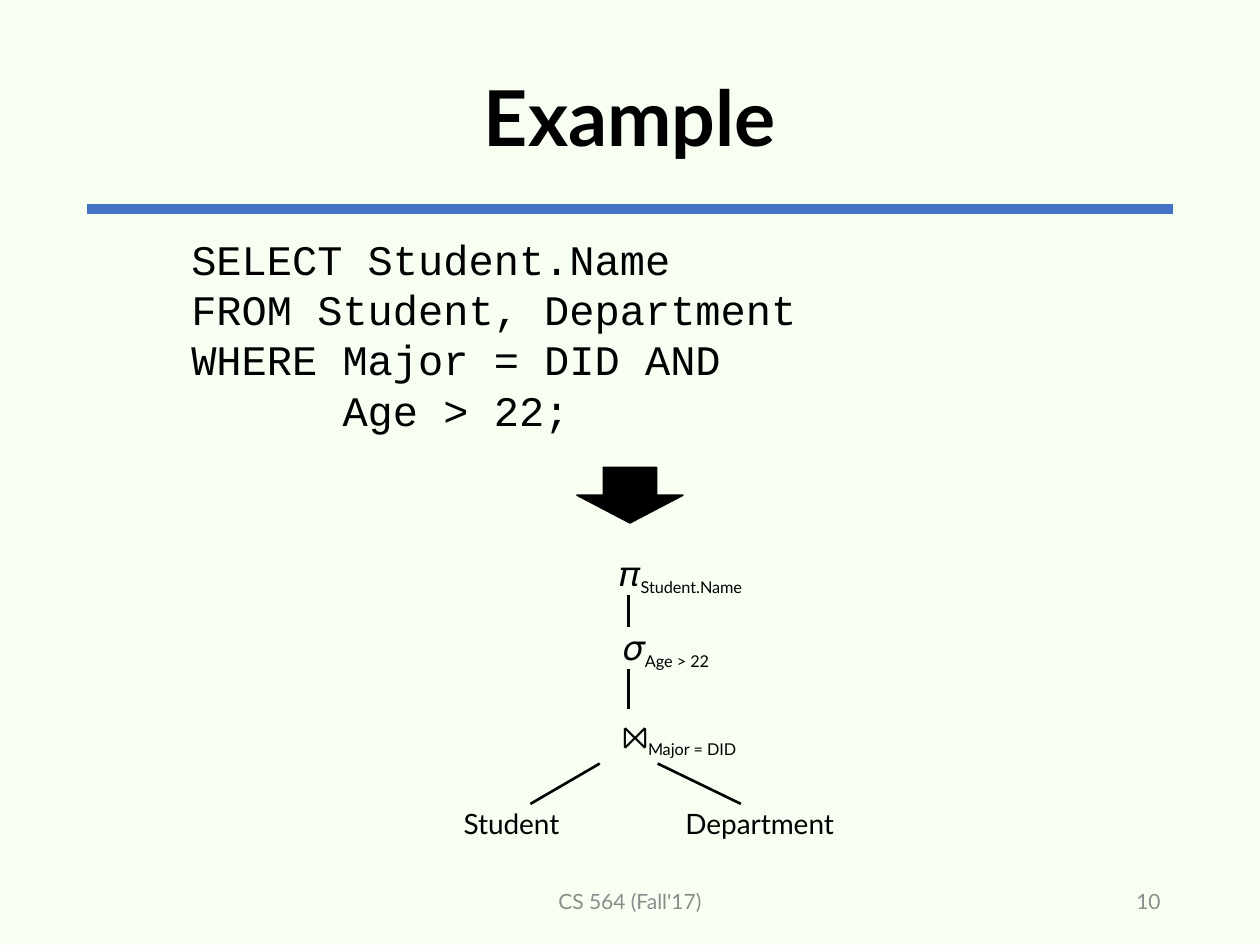
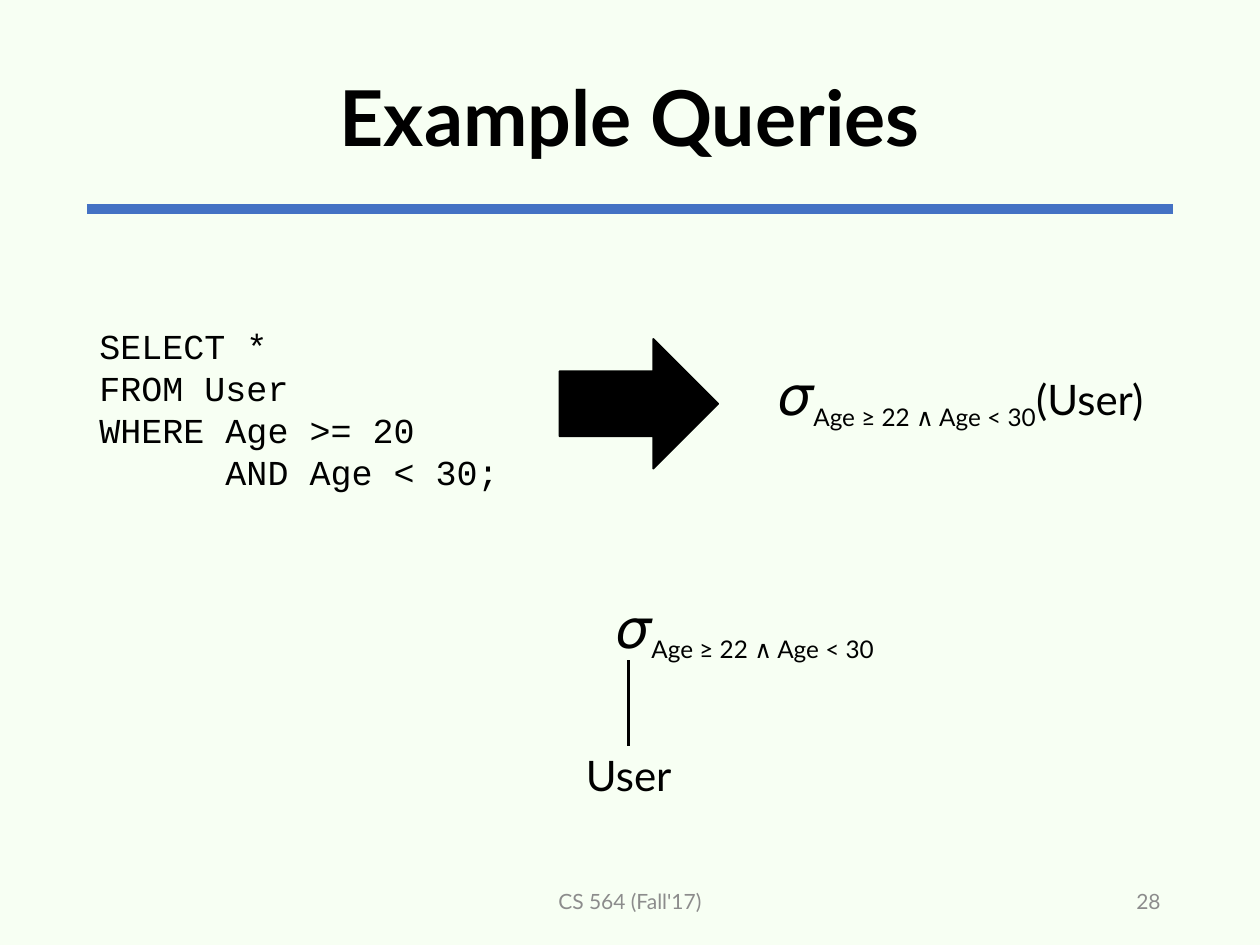
from lxml import etree
from pptx import Presentation
from pptx.dml.color import RGBColor
from pptx.enum.shapes import MSO_CONNECTOR, MSO_SHAPE
from pptx.enum.text import MSO_ANCHOR, PP_ALIGN
from pptx.oxml.ns import qn
from pptx.util import Emu, Pt

STRAIGHT = MSO_CONNECTOR.STRAIGHT
DOWN_ARROW, RIGHT_ARROW = MSO_SHAPE.DOWN_ARROW, MSO_SHAPE.RIGHT_ARROW
TOP, MIDDLE = MSO_ANCHOR.TOP, MSO_ANCHOR.MIDDLE
LEFT, CENTER, RIGHT = PP_ALIGN.LEFT, PP_ALIGN.CENTER, PP_ALIGN.RIGHT
SITE_TOP, SITE_BOTTOM = 0, 2
TITLE_ONLY = 5

BACKGROUND, ACCENT, INK, MUTED = "F7FFF3", "4472C4", "000000", "8C8C8C"
BODY_FONT, CODE_FONT = "Lato", "Courier New"
TREE_AXIS, NODE_WIDTH = 499, 400
NODE_LEFT = TREE_AXIS - NODE_WIDTH // 2


def px(length):
    return Emu(length * 9144)


def color(value):
    return RGBColor.from_string(value)


class Deck:
    def __init__(self):
        self.presentation = Presentation()
        self.presentation.slide_width = px(1000)
        self.presentation.slide_height = px(750)
        self.slide = None

    def add_slide(self, title, number):
        layout = self.presentation.slide_layouts[TITLE_ONLY]
        self.slide = self.presentation.slides.add_slide(layout)
        fill = self.slide.background.fill
        fill.solid()
        fill.fore_color.rgb = color(BACKGROUND)
        self.line((69, 166), (931, 166), ACCENT, 6)
        shape = self.slide.shapes.title
        shape.left, shape.top, shape.width, shape.height = map(px, (69, 24, 862, 145))
        self.frame(shape, MIDDLE)
        paragraph = shape.text_frame.paragraphs[0]
        paragraph.alignment = CENTER
        paragraph.line_spacing = 0.9
        self.run(paragraph, title, 44, bold=True)
        self.text((331, 695, 338, 40), "CS 564 (Fall'17)", 12, CENTER, MUTED)
        self.text((706, 695, 225, 40), number, 12, RIGHT, MUTED, margin=10)

    def frame(self, shape, anchor, margin=0):
        text_frame = shape.text_frame
        text_frame.word_wrap = True
        text_frame.vertical_anchor = anchor
        text_frame.margin_left = text_frame.margin_right = px(margin)
        text_frame.margin_top = text_frame.margin_bottom = px(0)
        return text_frame

    def run(self, paragraph, text, size, ink=INK, font=BODY_FONT, bold=False, subscript=False):
        run = paragraph.add_run()
        run.text = text
        run.font.name = font
        run.font.size = Pt(size)
        run.font.bold = bold
        run.font.color.rgb = color(ink)
        if subscript:
            run._r.get_or_add_rPr().set("baseline", "-25000")

    def box(self, bounds, anchor=MIDDLE, margin=0):
        shape = self.slide.shapes.add_textbox(*map(px, bounds))
        self.frame(shape, anchor, margin)
        return shape

    def text(self, bounds, text, size, align=CENTER, ink=INK, margin=0):
        shape = self.box(bounds, margin=margin)
        paragraph = shape.text_frame.paragraphs[0]
        paragraph.alignment = align
        self.run(paragraph, text, size, ink)
        return shape

    def code(self, bounds, lines, size):
        text_frame = self.box(bounds, TOP, 10).text_frame
        text_frame.margin_top = px(5)
        for index, line in enumerate(lines):
            paragraph = text_frame.add_paragraph() if index else text_frame.paragraphs[0]
            self.run(paragraph, line, size, font=CODE_FONT)

    def operator(self, bounds, symbol, symbol_size, condition, size, align=LEFT, relation=""):
        shape = self.box(bounds)
        paragraph = shape.text_frame.paragraphs[0]
        paragraph.alignment = align
        self.run(paragraph, symbol, symbol_size)
        self.run(paragraph, condition, size, subscript=True)
        if relation:
            self.run(paragraph, relation, size)
        return shape

    def node(self, text_left, top, height, symbol, symbol_size, condition, size):
        bounds = (NODE_LEFT, top, NODE_WIDTH, height)
        shape = self.operator(bounds, symbol, symbol_size, condition, size)
        shape.text_frame.margin_left = px(text_left - NODE_LEFT)
        return shape

    def arrow(self, kind, bounds):
        shape = self.slide.shapes.add_shape(kind, *map(px, bounds))
        shape.shadow.inherit = False
        shape.fill.solid()
        shape.fill.fore_color.rgb = color(INK)
        shape.line.color.rgb = color(INK)
        shape.line.width = Pt(1)

    def line(self, start, end, ink=INK, width=1.5):
        connector = self.slide.shapes.add_connector(STRAIGHT, *map(px, start + end))
        connector.line.color.rgb = color(ink)
        connector.line.width = Pt(width)
        etree.SubElement(connector._element.spPr, qn("a:effectLst"))
        return connector

    def join(self, parent, child):
        connector = self.line((TREE_AXIS, 0), (TREE_AXIS, 0))
        connector.begin_connect(parent, SITE_BOTTOM)
        connector.end_connect(child, SITE_TOP)


def build_query_plan(deck):
    deck.add_slide("Example", "10")
    deck.code((142, 180, 717, 172), [
        "SELECT Student.Name",
        "FROM Student, Department",
        "WHERE Major = DID AND",
        "      Age > 22;",
    ], 24)
    deck.arrow(DOWN_ARROW, (458, 371, 84, 44))
    projection = deck.node(492, 440, 32, "𝜋", 20, "Student.Name", 16)
    selection = deck.node(495, 498, 33, "𝜎", 20, "Age > 22", 16)
    natural_join = deck.node(494, 563, 46, "⨝", 18, "Major = DID", 16)
    deck.join(projection, selection)
    deck.join(selection, natural_join)
    for relation, center, start, end in (
        ("Student", 406, (476, 606), (421, 638)),
        ("Department", 603, (522, 606), (588, 638)),
    ):
        deck.text((center - 75, 631, 150, 45), relation, 16)
        deck.line(start, end)


def build_range_query(deck):
    condition = "Age ≥ 22 ∧ Age < 30"
    deck.add_slide("Example Queries", "28")
    deck.code((69, 253, 342, 144), [
        "SELECT *",
        "FROM User",
        "WHERE Age >= 20",
        "      AND Age < 30;",
    ], 20)
    deck.arrow(RIGHT_ARROW, (444, 269, 126, 103))
    deck.operator((606, 282, 314, 64), "𝜎", 32, condition, 24, CENTER, "(User)")
    selection = deck.node(490, 473, 51, "𝜎", 32, condition, 24)
    relation = deck.text((TREE_AXIS - 75, 592, 150, 45), "User", 24)
    deck.join(selection, relation)


def main():
    deck = Deck()
    build_query_plan(deck)
    build_range_query(deck)
    deck.presentation.save("out.pptx")


if __name__ == "__main__":
    main()
